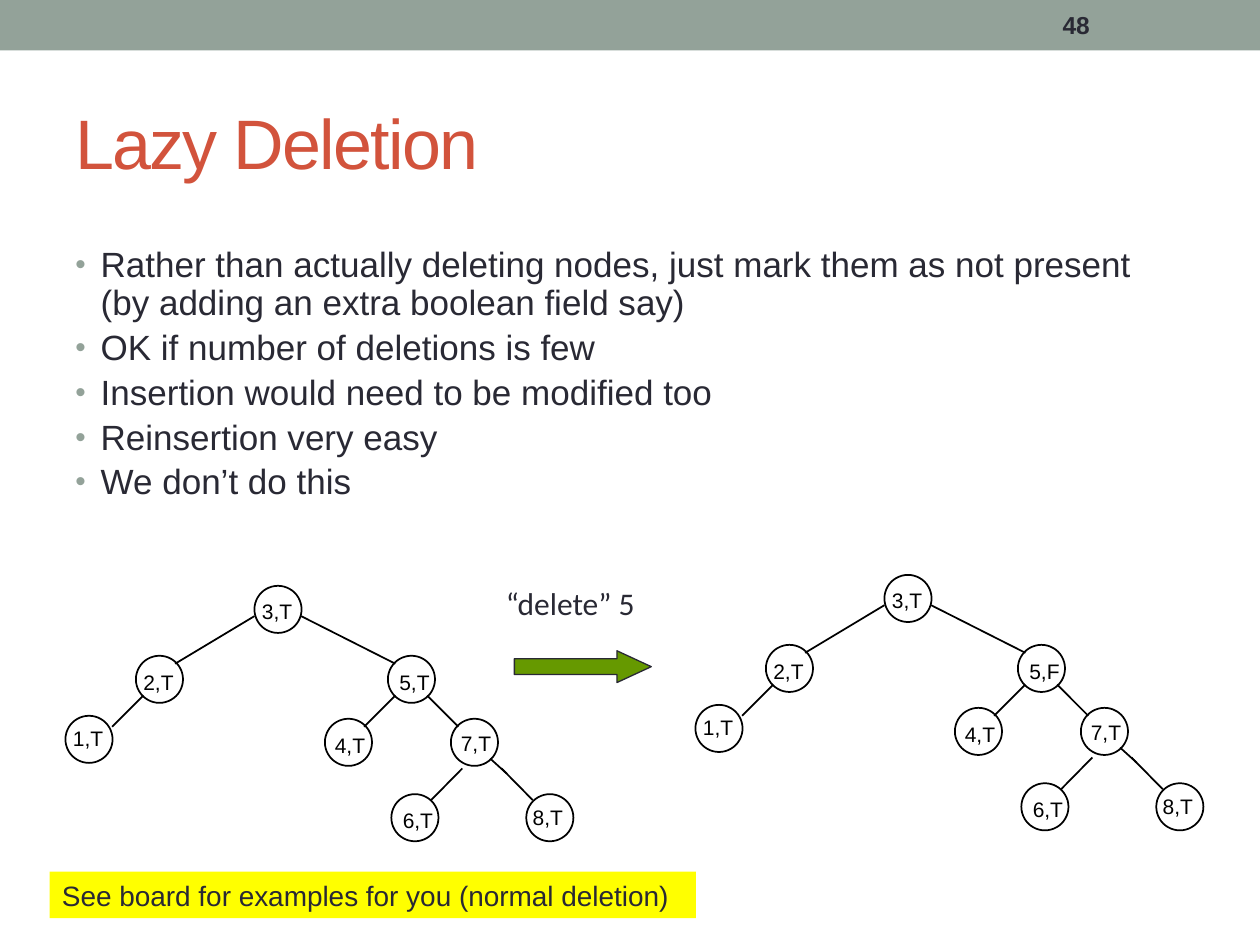
from dataclasses import dataclass
from typing import NamedTuple

from lxml import etree
from pptx import Presentation
from pptx import util as u
from pptx.dml.color import RGBColor
from pptx.enum import shapes, text
from pptx.oxml.ns import qn


@dataclass(frozen=True)
class Theme:
    font: str = "Arial"
    caption_font: str = "Calibri"
    ink: str = "292934"
    title: str = "D2533C"
    accent: str = "93A299"
    black: str = "000000"
    white: str = "FFFFFF"
    arrow: str = "669900"
    highlight: str = "FFFF00"
    title_size: int = 40
    body_size: int = 20
    caption_size: int = 18
    note_size: int = 16
    number_size: int = 14
    node_size: int = 12


class Node(NamedTuple):
    key: int
    x: float
    y: float
    label_dx: float
    label_dy: float


class Edge(NamedTuple):
    x1: float
    y1: float
    x2: float
    y2: float


class Tree(NamedTuple):
    x: float
    y: float
    deleted: frozenset


THEME = Theme()
NODE_DIAMETER = 0.95

# Nodes and edges in centimetres from the tree's top left corner
NODES = [
    Node(5, 6.5, 1.41, 0.23, 0.27),
    Node(3, 3.81, 0, 0.15, 0.26),
    Node(2, 1.42, 1.41, 0.15, 0.27),
    Node(1, 0, 2.62, 0.15, 0.19),
    Node(4, 5.23, 2.68, 0.2, 0.27),
    Node(7, 7.77, 2.68, 0.2, 0.23),
    Node(6, 6.57, 4.2, 0.23, 0.26),
    Node(8, 9.29, 4.2, 0.13, 0.2),
]
EDGES = [
    Edge(3.81, 0.61, 2.21, 1.57),
    Edge(1.57, 2.21, 0.94, 2.84),
    Edge(6.65, 2.21, 6.02, 2.84),
    Edge(4.75, 0.61, 6.65, 1.57),
    Edge(7.29, 2.21, 7.92, 2.84),
    Edge(8, 3.68, 7.37, 4.32),
    Edge(8.79, 3.68, 9.42, 4.32),
    Edge(8.56, 3.48, 8.89, 3.78),
]
TREES = [
    Tree(1.32, 11.81, frozenset()),
    Tree(14.02, 11.59, frozenset({5})),
]
BULLETS = [
    "Rather than actually deleting nodes, just mark them as not present "
    "(by adding an extra boolean field say)",
    "OK if number of deletions is few",
    "Insertion would need to be modified too",
    "Reinsertion very easy",
    "We don’t do this",
]


def color(value: str) -> RGBColor:
    return RGBColor.from_string(value)


def format_text(shape, size: int, ink: str = THEME.ink, font: str = THEME.font,
                bold: bool = False) -> None:
    for paragraph in shape.text_frame.paragraphs:
        paragraph.alignment = text.PP_ALIGN.LEFT
        for run in paragraph.runs:
            run.font.size = u.Pt(size)
            run.font.name = font
            run.font.bold = bold
            run.font.color.rgb = color(ink)


def add_text(parent, words: str, left: float, top: float, width: float,
             height: float, middle: bool = False):
    box = parent.add_textbox(u.Cm(left), u.Cm(top), u.Cm(width), u.Cm(height))
    frame = box.text_frame
    frame.word_wrap = True
    if middle:
        frame.vertical_anchor = text.MSO_ANCHOR.MIDDLE
    frame.text = words
    return box


def add_shape(parent, kind, left: float, top: float, width: float, height: float,
              fill: str, line: str = "", weight: float = 1):
    shape = parent.add_shape(kind, u.Cm(left), u.Cm(top), u.Cm(width), u.Cm(height))
    shape.shadow.inherit = False
    shape.fill.solid()
    shape.fill.fore_color.rgb = color(fill)
    if line:
        shape.line.color.rgb = color(line)
        shape.line.width = u.Pt(weight)
    else:
        shape.line.fill.background()
    return shape


def add_bullet(paragraph) -> None:
    paragraph.line_spacing = 0.9
    paragraph.space_before = u.Pt(4)
    properties = paragraph._p.get_or_add_pPr()
    properties.set("marL", str(u.Cm(0.51)))
    properties.set("indent", str(u.Cm(-0.51)))
    bullet_color = etree.SubElement(properties, qn("a:buClr"))
    etree.SubElement(bullet_color, qn("a:srgbClr"), val=THEME.accent)
    etree.SubElement(properties, qn("a:buSzPct"), val="85000")
    etree.SubElement(properties, qn("a:buFont"), typeface=THEME.font)
    etree.SubElement(properties, qn("a:buChar"), char="•")


def add_tree(parent, tree: Tree) -> None:
    group = parent.add_group_shape().shapes
    for node in NODES:
        x, y = tree.x + node.x, tree.y + node.y
        add_shape(group, shapes.MSO_SHAPE.OVAL, x, y, NODE_DIAMETER,
                  NODE_DIAMETER, THEME.white, THEME.black)
        flag = "F" if node.key in tree.deleted else "T"
        label = add_text(group, f"{node.key},{flag}", x + node.label_dx,
                         y + node.label_dy, 0.62, 0.51)
        frame = label.text_frame
        frame.word_wrap = False
        frame.auto_size = text.MSO_AUTO_SIZE.SHAPE_TO_FIT_TEXT
        frame.margin_left = frame.margin_right = 0
        frame.margin_top = frame.margin_bottom = 0
        format_text(label, THEME.node_size, THEME.black)
    for edge in EDGES:
        line = group.add_connector(
            shapes.MSO_CONNECTOR.STRAIGHT,
            u.Cm(tree.x + edge.x1), u.Cm(tree.y + edge.y1),
            u.Cm(tree.x + edge.x2), u.Cm(tree.y + edge.y2))
        line.line.color.rgb = color(THEME.black)
        line.line.width = u.Pt(1)
        etree.SubElement(line._element.spPr, qn("a:effectLst"))


presentation = Presentation()
presentation.slide_width, presentation.slide_height = u.Cm(25.4), u.Cm(19.05)
slide = presentation.slides.add_slide(presentation.slide_layouts[6])
canvas = slide.shapes

# Header band and slide number
add_shape(canvas, shapes.MSO_SHAPE.RECTANGLE, 0, 0, 25.4, 1.02, THEME.accent)
number = add_text(canvas, "48", 21.17, 0.05, 2.97, 0.91, middle=True)
format_text(number, THEME.number_size, bold=True)

# Title
title = add_text(canvas, "Lazy Deletion", 1.27, 1.48, 22.86, 2.75, middle=True)
format_text(title, THEME.title_size, THEME.title)
title.text_frame.paragraphs[0].runs[0].font._element.set("spc", "-100")

# Bullet list
body = add_text(canvas, "\n".join(BULLETS), 1.27, 4.87, 22.86, 6.35)
format_text(body, THEME.body_size)
for paragraph in body.text_frame.paragraphs:
    add_bullet(paragraph)

# Trees before and after the deletion
for tree in TREES:
    add_tree(canvas, tree)

# Arrow and its caption
arrow = add_shape(canvas, shapes.MSO_SHAPE.RIGHT_ARROW, 10.37, 13.12, 2.76, 0.64,
                  THEME.arrow, THEME.ink, 0.75)
arrow.adjustments[1] = 1.08
caption = add_text(canvas, "“delete” 5", 9.95, 11.64, 5.08, 1.02)
format_text(caption, THEME.caption_size, font=THEME.caption_font)

# Highlighted note
note = add_shape(canvas, shapes.MSO_SHAPE.RECTANGLE, 1, 17.57, 13.03, 0.94,
                 THEME.highlight)
note.text_frame.word_wrap = True
note.text_frame.text = "See board for examples for you (normal deletion)"
format_text(note, THEME.note_size)

presentation.save("out.pptx")
